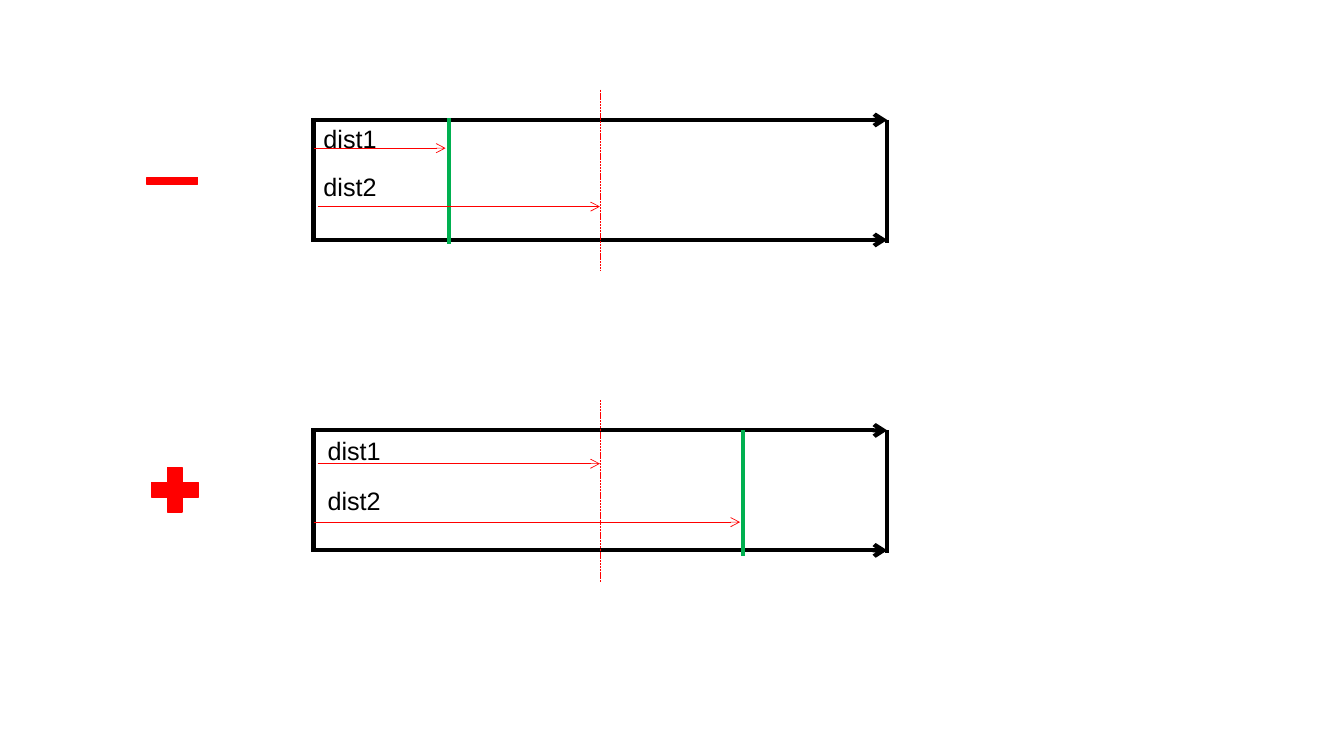
from dataclasses import dataclass

import lxml.etree
import pptx
import pptx.dml.color
import pptx.enum.dml
import pptx.enum.shapes
import pptx.enum.text
import pptx.oxml.ns
import pptx.shapes.shapetree
import pptx.util
from pptx.util import Inches

BLACK, RED, GREEN = "000000", "FF0000", "00B050"
LEFT, MIDDLE, RIGHT = 3.11, 5.95, 8.8
BAR_HEIGHT = 1.19
THICK, THIN = 3, 0.5
Shape = pptx.enum.shapes.MSO_SHAPE


@dataclass
class Distance:
    label: str
    label_top: float
    start: float
    end: float
    arrow_top: float


@dataclass
class Bar:
    top: float
    marker: float
    marker_top: float
    label_left: float
    distances: list[Distance]


@dataclass
class Sign:
    kind: Shape
    left: float
    top: float
    width: float
    height: float


BARS = [
    Bar(1.19, 4.45, 1.17, 3.11, [
        Distance("dist1", 1.17, LEFT, 4.42, 1.47),
        Distance("dist2", 1.65, 3.15, MIDDLE, 2.05),
    ]),
    Bar(4.27, 7.37, 4.27, 3.15, [
        Distance("dist1", 4.27, 3.15, MIDDLE, 4.6),
        Distance("dist2", 4.77, LEFT, 7.34, 5.18),
    ]),
]
SIGNS = [
    Sign(Shape.MATH_MINUS, 1.37, 1.65, 0.68, 0.29),
    Sign(Shape.MATH_PLUS, 1.42, 4.56, 0.63, 0.6),
]


def rgb(color: str) -> pptx.dml.color.RGBColor:
    return pptx.dml.color.RGBColor.from_string(color)


def add_line(shapes: pptx.shapes.shapetree.GroupShapes, start: tuple[float, float],
             end: tuple[float, float], color: str, width: float,
             arrow: bool = False, dashed: bool = False) -> None:
    line = shapes.add_connector(
        pptx.enum.shapes.MSO_CONNECTOR.STRAIGHT,
        *(Inches(value) for value in (*start, *end)))
    line.line.color.rgb = rgb(color)
    line.line.width = pptx.util.Pt(width)
    if dashed:
        line.line.dash_style = pptx.enum.dml.MSO_LINE.SQUARE_DOT
    qualify = pptx.oxml.ns.qn
    if arrow:
        outline = line.line._get_or_add_ln()
        lxml.etree.SubElement(outline, qualify("a:tailEnd"), type="arrow")
    lxml.etree.SubElement(line._element.spPr, qualify("a:effectLst"))


def add_label(shapes: pptx.shapes.shapetree.GroupShapes, text: str,
              left: float, top: float) -> None:
    box = shapes.add_textbox(Inches(left), Inches(top), Inches(1.22), Inches(0.4))
    box.text_frame.word_wrap = True
    box.text_frame.auto_size = pptx.enum.text.MSO_AUTO_SIZE.SHAPE_TO_FIT_TEXT
    para = box.text_frame.paragraphs[0]
    para.text = text
    para.font.name = "Arial"
    para.font.size = pptx.util.Pt(18)
    para.font.color.rgb = rgb(BLACK)


def add_bar(shapes: pptx.shapes.shapetree.SlideShapes, bar: Bar) -> None:
    group = shapes.add_group_shape().shapes
    bottom = bar.top + BAR_HEIGHT
    for edge in (bottom, bar.top):
        add_line(group, (LEFT, edge), (RIGHT, edge), BLACK, THICK, arrow=True)
    add_line(group, (LEFT, bar.top - 0.02), (LEFT, bottom + 0.02), BLACK, THICK)
    add_line(group, (RIGHT, bar.top), (RIGHT, bottom + 0.03), BLACK, THICK)
    add_line(group, (MIDDLE, bar.top - 0.3), (MIDDLE, bottom + 0.31), RED, THIN, dashed=True)
    add_line(group, (bar.marker, bar.marker_top), (bar.marker, bar.marker_top + 1.25),
             GREEN, THICK)
    for distance in bar.distances:
        add_line(group, (distance.start, distance.arrow_top),
                 (distance.end, distance.arrow_top), RED, THIN, arrow=True)
    for distance in bar.distances:
        add_label(group, distance.label, bar.label_left, distance.label_top)


def add_sign(shapes: pptx.shapes.shapetree.SlideShapes, sign: Sign) -> None:
    shape = shapes.add_shape(sign.kind, Inches(sign.left), Inches(sign.top),
                             Inches(sign.width), Inches(sign.height))
    shape.shadow.inherit = False
    shape.fill.solid()
    shape.fill.fore_color.rgb = rgb(RED)
    shape.line.color.rgb = rgb(RED)
    shape.line.width = pptx.util.Pt(1)


def main() -> None:
    deck = pptx.Presentation()
    deck.slide_width = Inches(13.33)
    deck.slide_height = Inches(7.5)
    page = deck.slides.add_slide(deck.slide_layouts[6])
    for bar in BARS:
        add_bar(page.shapes, bar)
    for sign in SIGNS:
        add_sign(page.shapes, sign)
    deck.save("out.pptx")


if __name__ == "__main__":
    main()
